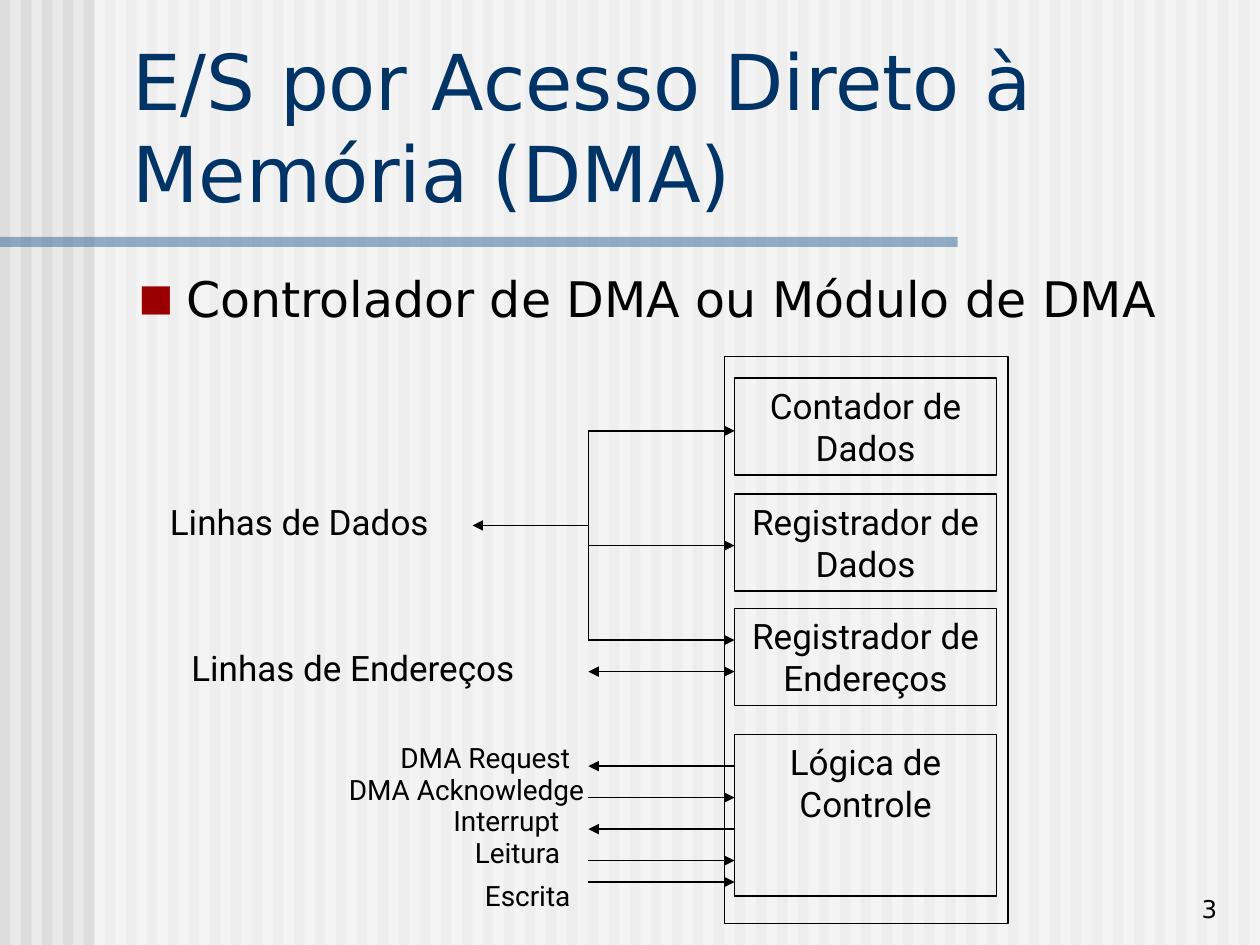
from lxml.etree import SubElement
from pptx import Presentation
from pptx.dml.color import RGBColor
from pptx.enum.shapes import MSO_CONNECTOR as Connector, MSO_SHAPE as Preset
from pptx.enum.text import MSO_ANCHOR as Anchor, MSO_AUTO_SIZE as AutoSize, PP_ALIGN as Align
from pptx.oxml.ns import qn
from pptx.util import Inches, Pt

BLACK = "000000"
NAVY = "003366"
STEEL = "336699"
RED = "9A0000"
HEADING_FONT = "DejaVu Sans"
DIAGRAM_FONT = "Roboto"
LINE_WIDTH = 1


def color(value):
    return RGBColor.from_string(value)


def inches(*lengths):
    return [Inches(length) for length in lengths]


def write_text(frame, text, size=20, font=DIAGRAM_FONT, ink=BLACK,
               align=Align.LEFT, anchor=Anchor.TOP, before=0):
    frame.word_wrap = True
    frame.auto_size = AutoSize.NONE
    frame.vertical_anchor = anchor
    paragraph = frame.paragraphs[0]
    paragraph.alignment = align
    paragraph.space_before = Pt(before)
    run = paragraph.add_run()
    run.text = text
    run.font.size = Pt(size)
    run.font.name = font
    run.font.color.rgb = color(ink)
    return paragraph


def add_label(shapes, box, text, **style):
    label = shapes.add_textbox(*inches(*box))
    write_text(label.text_frame, text, **style)


def add_band(shapes, box, fill, opacity=100):
    band = shapes.add_shape(Preset.RECTANGLE, *inches(*box))
    band.shadow.inherit = False
    band.line.fill.background()
    band.fill.solid()
    band.fill.fore_color.rgb = color(fill)
    if opacity < 100:
        tint = band.fill._xPr.find(qn("a:solidFill")).find(qn("a:srgbClr"))
        SubElement(tint, qn("a:alpha"), val=str(opacity * 1000))


def add_frame(shapes, box, text=""):
    frame = shapes.add_shape(Preset.RECTANGLE, *inches(*box))
    frame.shadow.inherit = False
    frame.fill.background()
    frame.line.color.rgb = color(BLACK)
    frame.line.width = Pt(LINE_WIDTH)
    if text:
        write_text(frame.text_frame, text, align=Align.CENTER, before=12.5)


def add_wire(shapes, start, end, ends=()):
    wire = shapes.add_connector(Connector.STRAIGHT, *inches(*start, *end))
    wire.line.color.rgb = color(BLACK)
    wire.line.width = Pt(LINE_WIDTH)
    outline = wire.line._get_or_add_ln()
    for tip in ends:
        SubElement(outline, qn(f"a:{tip}"), type="triangle")
    SubElement(wire._element.spPr, qn("a:effectLst"))


def move_to_front(placeholder, box):
    placeholder.left, placeholder.top, placeholder.width, placeholder.height = inches(*box)
    tree = placeholder.element.getparent()
    tree.append(placeholder.element)


def add_backdrop(slide, left, top, width, height):
    slide.background.fill.solid()
    slide.background.fill.fore_color.rgb = color("EAEAEA")
    stripe_count = 60
    pitch = width / stripe_count
    for index in range(stripe_count):
        add_band(slide.shapes, (left + index * pitch, top, pitch / 2, height), "DDDDDD")
    add_band(slide.shapes, (left + 0.75, top, width - 0.75, height), "FFFFFF", 50)
    add_band(slide.shapes, (left, top + 1.88, 7.6, 0.08), STEEL, 50)


def add_heading(slide, *box):
    title = slide.shapes.title
    move_to_front(title, box)
    write_text(title.text_frame, "E/S por Acesso Direto à Memória (DMA)",
               size=44, font=HEADING_FONT, ink=NAVY, anchor=Anchor.BOTTOM)


def add_topic(slide, *box):
    body = slide.placeholders[1]
    move_to_front(body, box)
    topic = write_text(body.text_frame, "Controlador de DMA ou Módulo de DMA",
                       size=28, font=HEADING_FONT, before=7)
    properties = topic._p.get_or_add_pPr()
    properties.set("marL", str(Inches(0.38)))
    properties.set("indent", str(-Inches(0.38)))
    bullet_color = SubElement(properties, qn("a:buClr"))
    SubElement(bullet_color, qn("a:srgbClr"), val=RED)
    SubElement(properties, qn("a:buSzPct"), val="75000")
    SubElement(properties, qn("a:buFont"), typeface=HEADING_FONT)
    SubElement(properties, qn("a:buChar"), char="■")


def add_dma_controller(slide, left, top, width, height):
    shapes = slide.shapes.add_group_shape().shapes
    module_left = left + width - 2.25
    port = module_left + 0.08
    bus = left + 3.42

    add_frame(shapes, (module_left, top, 2.25, height))
    units = [
        ("Contador de Dados", 0.17, 0.77),
        ("Registrador de Dados", 1.09, 0.77),
        ("Registrador de Endereços", 2, 0.77),
        ("Lógica de Controle", 3, 1.28),
    ]
    for name, offset, unit_height in units:
        add_frame(shapes, (port, top + offset, 2.08, unit_height), name)

    incoming, outgoing, both = ["tailEnd"], ["headEnd"], ["headEnd", "tailEnd"]
    signals = [
        (0.59, incoming), (1.5, incoming), (2.25, incoming), (2.5, both),
        (3.25, outgoing), (3.5, incoming), (3.75, outgoing),
        (4, incoming), (4.17, incoming),
    ]
    for offset, ends in signals:
        add_wire(shapes, (bus, top + offset), (port, top + offset), ends)
    add_wire(shapes, (bus, top + 0.59), (bus, top + 2.25))
    add_wire(shapes, (bus, top + 1.34), (left + 2.5, top + 1.34), incoming)

    bus_labels = [
        ("Linhas de Dados", 0, 1.09, 2.42),
        ("Linhas de Endereços", 0.17, 2.25, 3.17),
    ]
    control_labels = [
        ("DMA Request", 1.83, 3, 1.67),
        ("DMA Acknowledge", 1.42, 3.25, 2.5),
        ("Interrupt", 2.25, 3.5, 1.17),
        ("Leitura", 2.42, 3.75, 1),
        ("Escrita", 2.5, 4.09, 0.92),
    ]
    for labels, size, label_height in ((bus_labels, 20, 0.44), (control_labels, 16, 0.37)):
        for text, indent, offset, label_width in labels:
            add_label(shapes, (left + indent, top + offset, label_width, label_height),
                      text, size=size, before=size * 0.625)


def add_page_number(slide, *box):
    add_label(slide.shapes, box, "3", size=14, font=HEADING_FONT,
              align=Align.RIGHT, anchor=Anchor.BOTTOM)


def build():
    deck = Presentation()
    deck.slide_width, deck.slide_height = inches(10, 7.5)
    slide = deck.slides.add_slide(deck.slide_layouts[1])
    add_backdrop(slide, 0, 0, 10, 7.5)
    add_page_number(slide, 7.68, 6.88, 2.08, 0.5)
    add_heading(slide, 0.95, 0.21, 8.93, 1.57)
    add_topic(slide, 1, 2.08, 8.87, 4.58)
    add_dma_controller(slide, 1.25, 2.83, 6.75, 4.5)
    deck.save("out.pptx")


build()
